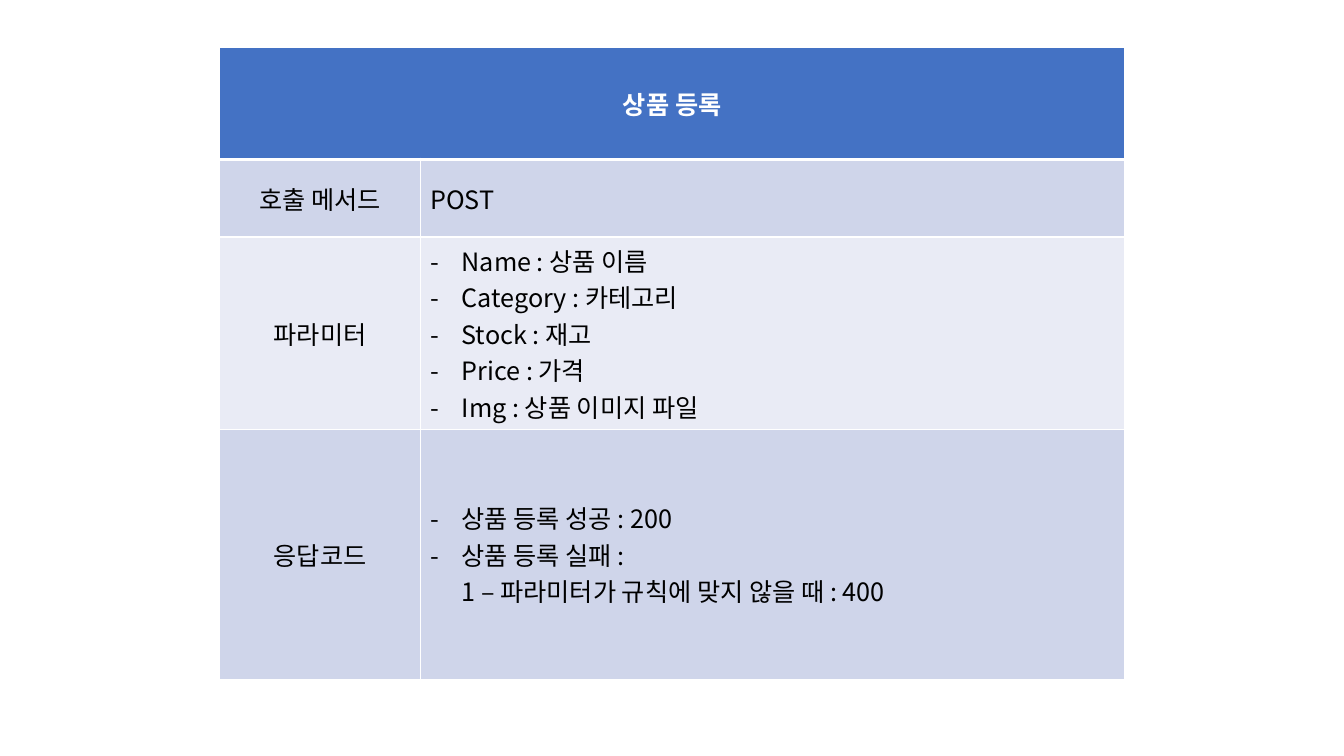
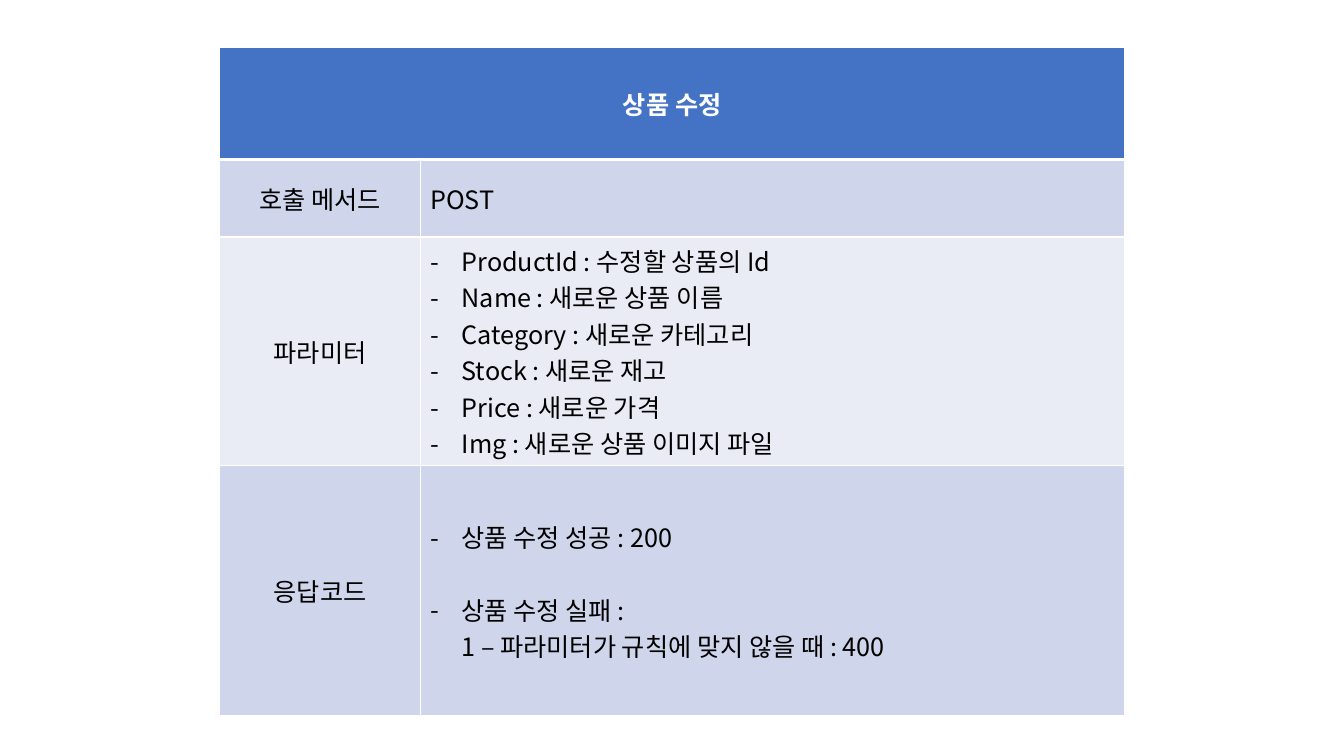
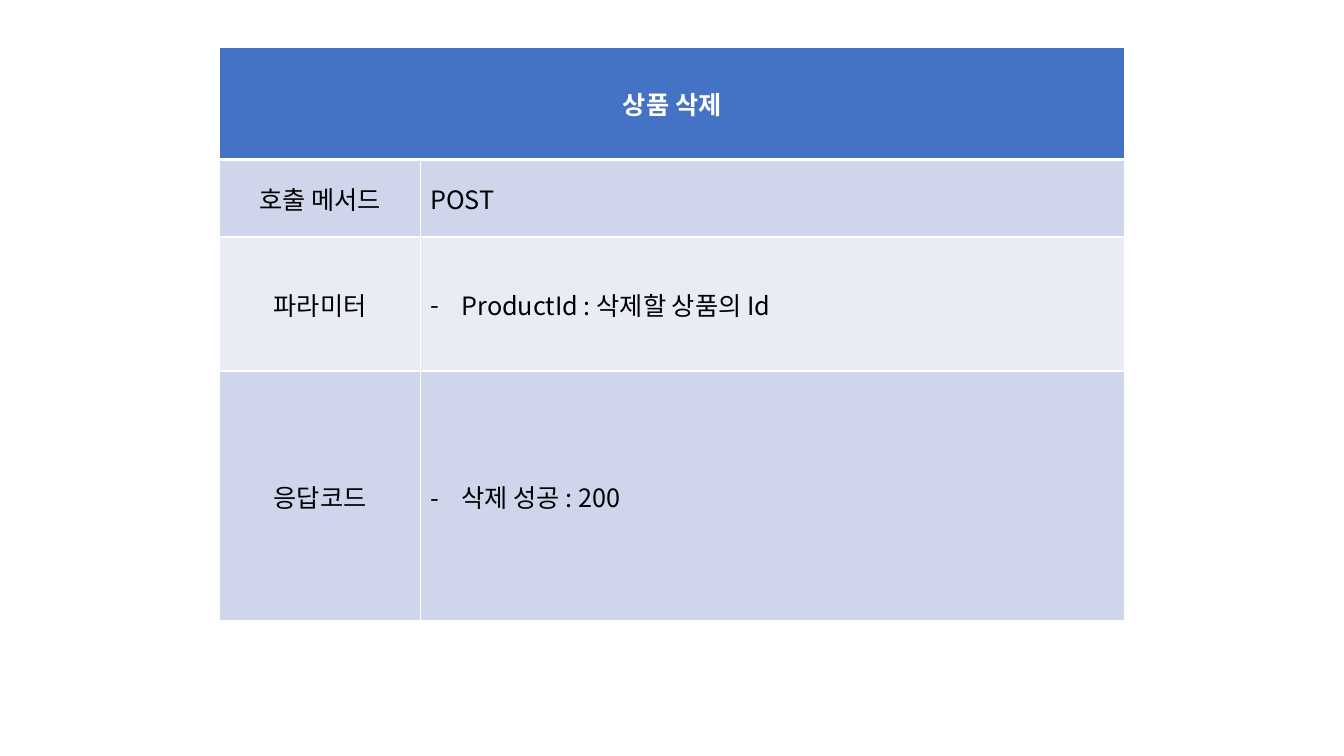
from dataclasses import dataclass

from lxml import etree
from pptx import Presentation
from pptx import util as u
from pptx.dml import color
from pptx.enum import text
from pptx.oxml import ns


@dataclass(frozen=True)
class Theme:
    font: str = "Noto Sans CJK KR"
    size: int = 18
    header: str = "4472C4"
    bands: tuple = ("E9EBF5", "CFD5EA")
    light: str = "FFFFFF"
    dark: str = "000000"
    rule: int = 1
    header_rule: int = 3
    gap: int = 26
    indent: float = 0.79


theme = Theme()
column_widths = [5.05, 17.75]
row_heights = [2.82, 1.95, 3.38, 6.3]


def add_borders(cell, row):
    widths = dict.fromkeys("LRTB", theme.rule)
    if row < 2:
        widths["B" if row == 0 else "T"] = theme.header_rule
    properties = cell._tc.get_or_add_tcPr()
    for side, width in widths.items():
        line = etree.SubElement(properties, ns.qn(f"a:ln{side}"), w=str(u.Pt(width)))
        fill = etree.SubElement(line, ns.qn("a:solidFill"))
        etree.SubElement(fill, ns.qn("a:srgbClr"), val=theme.light)


def fill_cell(cell, row, lines, centred=False, bulleted=False, gap=0):
    header = row == 0
    add_borders(cell, row)
    cell.fill.solid()
    cell.fill.fore_color.rgb = color.RGBColor.from_string(
        theme.header if header else theme.bands[row % 2])
    cell.vertical_anchor = text.MSO_ANCHOR.MIDDLE
    for index, line in enumerate(lines):
        frame = cell.text_frame
        paragraph = frame.add_paragraph() if index else frame.paragraphs[0]
        paragraph.text = line
        paragraph.alignment = text.PP_ALIGN.CENTER if centred else text.PP_ALIGN.LEFT
        if index and gap:
            paragraph.space_before = u.Pt(gap)
        if bulleted:
            properties = paragraph._p.get_or_add_pPr()
            properties.set("marL", str(u.Cm(theme.indent)))
            properties.set("indent", str(-u.Cm(theme.indent)))
            etree.SubElement(properties, ns.qn("a:buFont"), typeface=theme.font)
            etree.SubElement(properties, ns.qn("a:buChar"), char="-")
        for run in paragraph.runs:
            formats = {"name": theme.font, "size": u.Pt(theme.size), "bold": header}
            for name, value in formats.items():
                setattr(run.font, name, value)
            run.font.color.rgb = color.RGBColor.from_string(
                theme.light if header else theme.dark)
            etree.SubElement(run._r.get_or_add_rPr(), ns.qn("a:ea"), typeface=theme.font)


invalid = "1 – 파라미터가 규칙에 맞지 않을 때 : 400"
requests = [
    {"title": "상품 등록",
     "parameters": ["Name : 상품 이름", "Category : 카테고리", "Stock : 재고",
                    "Price : 가격", "Img : 상품 이미지 파일"],
     "responses": ["상품 등록 성공 : 200", f"상품 등록 실패 : \v{invalid}"],
     "gap": 0},
    {"title": "상품 수정",
     "parameters": ["ProductId : 수정할 상품의 Id", "Name : 새로운 상품 이름",
                    "Category : 새로운 카테고리", "Stock : 새로운 재고",
                    "Price : 새로운 가격", "Img : 새로운 상품 이미지 파일"],
     "responses": ["상품 수정 성공 : 200", f"상품 수정 실패 : \v{invalid}"],
     "gap": theme.gap},
    {"title": "상품 삭제",
     "parameters": ["ProductId : 삭제할 상품의 Id"],
     "responses": ["삭제 성공 : 200"],
     "gap": 0},
]

presentation = Presentation()
presentation.slide_width = u.Cm(33.87)
presentation.slide_height = u.Cm(19.05)
blank_layout = presentation.slide_layouts[6]

for request in requests:
    slide = presentation.slides.add_slide(blank_layout)
    table = slide.shapes.add_table(
        len(row_heights), len(column_widths), u.Cm(5.54), u.Cm(1.2),
        u.Cm(sum(column_widths)), u.Cm(sum(row_heights))).table
    for column, width in zip(table.columns, column_widths):
        column.width = u.Cm(width)
    for table_row, height in zip(table.rows, row_heights):
        table_row.height = u.Cm(height)

    table.cell(0, 0).merge(table.cell(0, 1))
    fill_cell(table.cell(0, 0), 0, [request["title"]], centred=True)
    add_borders(table.cell(0, 1), 0)
    for row, label in enumerate(["호출 메서드", "파라미터", "응답코드"], start=1):
        fill_cell(table.cell(row, 0), row, [label], centred=True)
    fill_cell(table.cell(1, 1), 1, ["POST"])
    fill_cell(table.cell(2, 1), 2, request["parameters"], bulleted=True)
    fill_cell(table.cell(3, 1), 3, request["responses"], bulleted=True, gap=request["gap"])

presentation.save("out.pptx")
